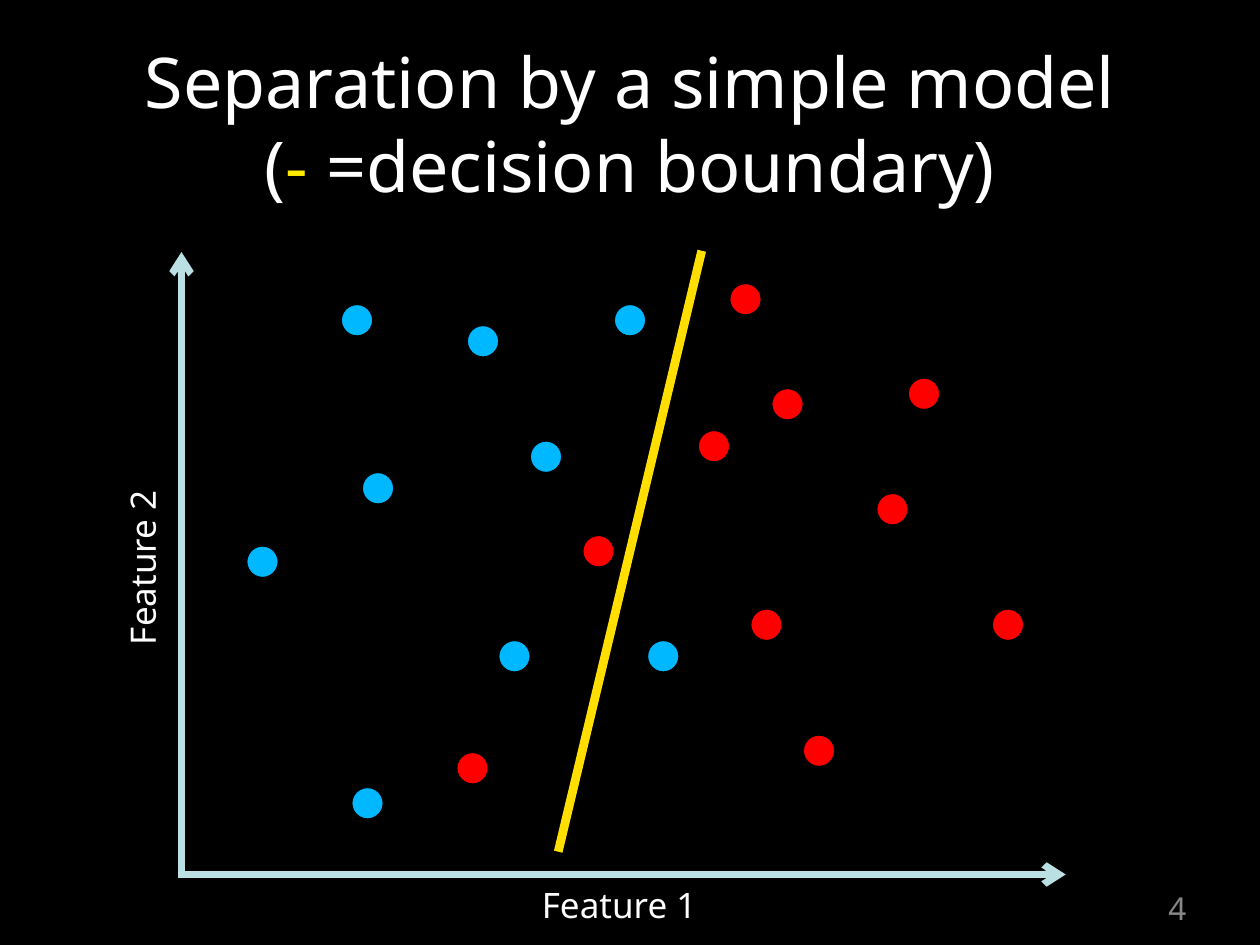
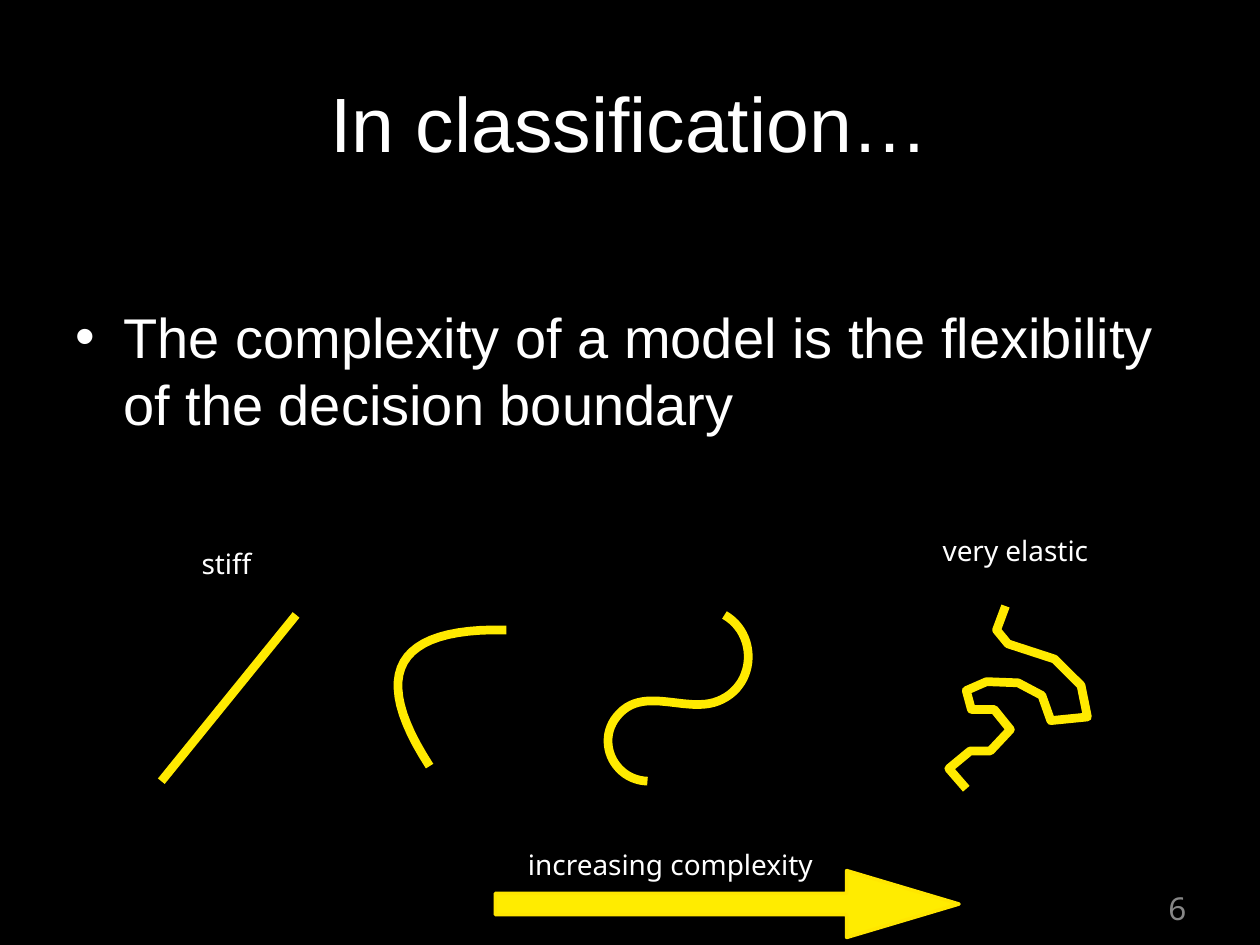
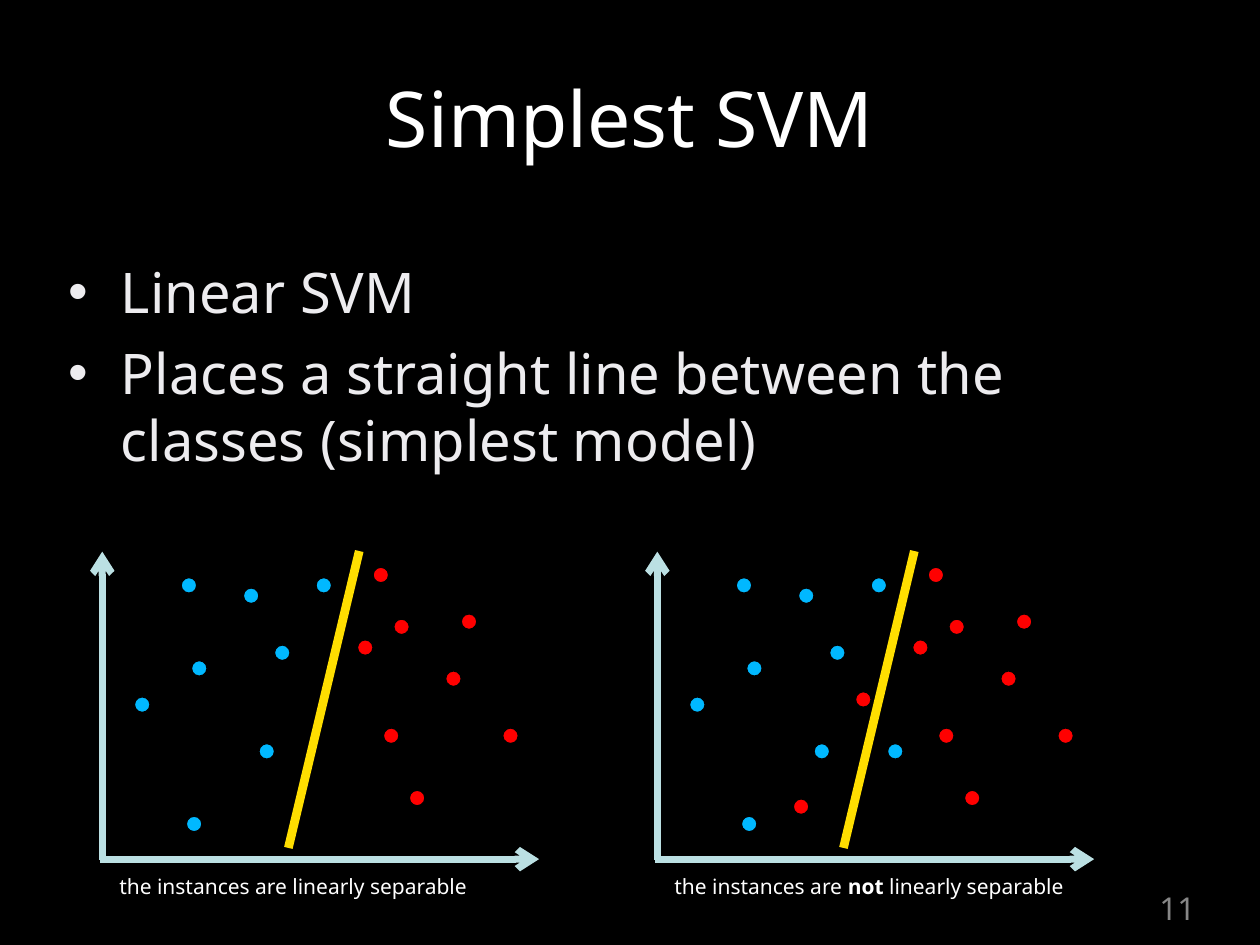
"""Build three slides about decision boundaries and linear SVMs."""
from dataclasses import dataclass

from lxml.etree import SubElement
from pptx import Presentation
from pptx.dml.color import RGBColor
from pptx.enum.shapes import MSO_CONNECTOR, MSO_SHAPE
from pptx.enum.text import MSO_ANCHOR, MSO_AUTO_SIZE, PP_ALIGN
from pptx.oxml.ns import qn
from pptx.util import Pt

BLACK = RGBColor(0x00, 0x00, 0x00)
WHITE = RGBColor(0xFF, 0xFF, 0xFF)
OFF_WHITE = RGBColor(0xFD, 0xFD, 0xFD)
PALE = RGBColor(0xED, 0xEC, 0xEF)
GREY = RGBColor(0x87, 0x87, 0x87)
BLUE = RGBColor(0x00, 0xB8, 0xFF)
RED = RGBColor(0xFF, 0x00, 0x00)
AXIS = RGBColor(0xBB, 0xE0, 0xE3)
BOUNDARY = RGBColor(0xFF, 0xDE, 0x00)
DASH = RGBColor(0xFF, 0xE9, 0x00)
CURVE = RGBColor(0xFF, 0xEA, 0x00)
ARROW_FILL = RGBColor(0xFF, 0xEC, 0x00)
ARROW_LINE = RGBColor(0xFF, 0xE6, 0x00)
SANS = "Noto Sans"
ARIAL = "Arial"

Point = tuple[float, float]


@dataclass(frozen=True)
class Box:
    left: float
    top: float
    width: float
    height: float

    def emu(self) -> tuple:
        return Pt(self.left), Pt(self.top), Pt(self.width), Pt(self.height)


@dataclass(frozen=True)
class Span:
    text: str
    color: RGBColor | None = None
    bold: bool = False


@dataclass(frozen=True)
class Style:
    size: float
    color: RGBColor = WHITE
    font: str = SANS
    align: PP_ALIGN = PP_ALIGN.LEFT
    anchor: MSO_ANCHOR = MSO_ANCHOR.TOP
    inset: float = 3.6
    top_inset: float = 3.6
    line: float | None = None
    before: float = 0
    margin: float = 0
    hanging: float = 0


@dataclass(frozen=True)
class Dot:
    x: float
    y: float
    color: RGBColor


@dataclass(frozen=True)
class Plot:
    dx: float = 0
    dy: float = 0
    scale: float = 1

    def at(self, x: float, y: float) -> Point:
        return self.dx + x * self.scale, self.dy + y * self.scale


@dataclass(frozen=True)
class Label:
    box: Box
    spans: tuple[Span, ...]
    style: Style
    rotation: float = 0


TITLE_BOX = Box(36, 7.2, 648, 118.8)
NUMBER_BOX = Box(650.8, 504.7, 44, 28.1)
NUMBER = Style(18, GREY, align=PP_ALIGN.CENTER, anchor=MSO_ANCHOR.MIDDLE)
AXIS_LABEL = Style(20, OFF_WHITE, top_inset=2)
CURVE_LABEL = Style(16, top_inset=2)
CAPTION = Style(12, top_inset=2.5)

SEPARABLE = [
    *(Dot(x, y, BLUE) for x, y in (
        (216, 279), (204, 183), (276, 195), (360, 183),
        (150, 321), (294, 375), (210, 459), (312, 261))),
    *(Dot(x, y, RED) for x, y in (
        (450, 231), (408, 255), (438, 357), (468, 429),
        (426, 171), (510, 291), (576, 357), (528, 225))),
]
MIXED = SEPARABLE + [Dot(342, 315, RED), Dot(379, 375, BLUE), Dot(270, 439, RED)]
DOT_SIZE = 18

ONE_BEND = [((245.5, 437.8), (211, 384.5), (226, 358.6), (289.4, 360))]
TWO_BENDS = [
    ((370, 446.4), (350, 445.7), (339.8, 422), (354.2, 407.5)),
    ((354.2, 407.5), (369.4, 391.7), (394.6, 409), (412.6, 399.6)),
    ((412.6, 399.6), (432, 390.2), (432.7, 362.2), (414, 351.4)),
]
ELASTIC = [
    (552.2, 450.7), (542.2, 439.2), (554.4, 429.1), (565.9, 429.1),
    (577.4, 416.9), (568.1, 405.4), (555.1, 405.4), (552.2, 394.6),
    (563.8, 389.5), (581.8, 390.2), (595.4, 397.4), (600.5, 411.8),
    (621.4, 409.7), (617.8, 391.7), (602.6, 376.6), (576, 367.9),
    (569.5, 360), (574.6, 346.3),
]


def write(tf, paragraphs: list[tuple[Span, ...]], style: Style) -> None:
    tf.word_wrap = True
    tf.auto_size = MSO_AUTO_SIZE.NONE
    tf.vertical_anchor = style.anchor
    tf.margin_left = tf.margin_right = tf.margin_bottom = Pt(style.inset)
    tf.margin_top = Pt(style.top_inset)
    for i, spans in enumerate(paragraphs):
        p = tf.paragraphs[0] if i == 0 else tf.add_paragraph()
        p.alignment = style.align
        p.space_before = Pt(style.before if i else 0)
        if style.line:
            p.line_spacing = Pt(style.line)
        if style.margin:
            pPr = p._p.get_or_add_pPr()
            pPr.set("marL", str(Pt(style.margin)))
            pPr.set("indent", str(Pt(-style.hanging)))
        for span in spans:
            r = p.add_run()
            r.text = span.text
            r.font.name = style.font
            r.font.size = Pt(style.size)
            r.font.bold = span.bold
            r.font.color.rgb = span.color or style.color


def add_label(slide, label: Label) -> None:
    sp = slide.shapes.add_textbox(*label.box.emu())
    sp.rotation = label.rotation
    write(sp.text_frame, [label.spans], label.style)


def fill_placeholder(sp, box: Box, paragraphs: list[tuple[Span, ...]], style: Style) -> None:
    sp.left, sp.top, sp.width, sp.height = box.emu()
    write(sp.text_frame, paragraphs, style)


def add_slide(prs, layout: int, number: str, title: list[tuple[Span, ...]], style: Style):
    slide = prs.slides.add_slide(prs.slide_layouts[layout])
    fill_placeholder(slide.shapes.title, TITLE_BOX, title, style)
    add_label(slide, Label(NUMBER_BOX, (Span(number),), NUMBER))
    return slide


def title_style(size: float, font: str = SANS, top_inset: float = 3, line: float | None = None) -> Style:
    return Style(size, font=font, align=PP_ALIGN.CENTER, anchor=MSO_ANCHOR.MIDDLE,
                 inset=3, top_inset=top_inset, line=line)


def add_line(slide, start: Point, end: Point, color: RGBColor, width: float, arrow: bool = False) -> None:
    cx = slide.shapes.add_connector(MSO_CONNECTOR.STRAIGHT, *(Pt(v) for v in (*start, *end)))
    cx.line.color.rgb = color
    cx.line.width = Pt(width)
    if arrow:
        SubElement(cx.line._get_or_add_ln(), qn("a:tailEnd"), type="arrow")
    SubElement(cx._element.spPr, qn("a:effectLst"))


def add_preset(slide, kind: MSO_SHAPE, box: Box, fill: RGBColor, line: RGBColor, width: float):
    sp = slide.shapes.add_shape(kind, *box.emu())
    sp.shadow.inherit = False
    sp.fill.solid()
    sp.fill.fore_color.rgb = fill
    sp.line.color.rgb = line
    sp.line.width = Pt(width)
    return sp


def add_plot(slide, plot: Plot, dots: list[Dot]) -> None:
    size = DOT_SIZE * plot.scale
    for dot in dots:
        x, y = plot.at(dot.x, dot.y)
        box = Box(x - size / 2, y - size / 2, size, size)
        add_preset(slide, MSO_SHAPE.OVAL, box, dot.color, BLACK, 0.75)
    add_line(slide, plot.at(101.5, 499.7), plot.at(609, 499.7), AXIS, 4, arrow=True)
    add_line(slide, plot.at(103.7, 500.4), plot.at(103.7, 144), AXIS, 4, arrow=True)
    add_line(slide, plot.at(319, 486.7), plot.at(401, 143.3), BOUNDARY, 5)


def bezier(segments: list[tuple[Point, Point, Point, Point]], steps: int = 24) -> list[Point]:
    points = [segments[0][0]]
    for a, b, c, d in segments:
        for i in range(1, steps + 1):
            t = i / steps
            u = 1 - t
            weights = (u ** 3, 3 * u * u * t, 3 * u * t * t, t ** 3)
            points.append(tuple(sum(w * q[k] for w, q in zip(weights, (a, b, c, d)))
                                for k in (0, 1)))
    return points


def add_curve(slide, points: list[Point]) -> None:
    first, *rest = [(Pt(x), Pt(y)) for x, y in points]
    builder = slide.shapes.build_freeform(*first)
    builder.add_line_segments(rest, close=False)
    sp = builder.convert_to_shape()
    sp.shadow.inherit = False
    sp.fill.background()
    sp.line.color.rgb = CURVE
    sp.line.width = Pt(5)


def simple_model_slide(prs) -> None:
    title = [(Span("Separation by a simple model"),),
             (Span("("), Span("-", DASH), Span(" =decision boundary)"))]
    slide = add_slide(prs, 5, "4", title, title_style(40, top_inset=10, line=48))
    add_plot(slide, Plot(), MIXED)
    add_label(slide, Label(Box(306, 502.6, 99.4, 30.2), (Span("Feature 1"),), AXIS_LABEL))
    add_label(slide, Label(Box(32.4, 307.4, 99.4, 30.2), (Span("Feature 2"),), AXIS_LABEL, 270))


def complexity_slide(prs) -> None:
    slide = add_slide(prs, 1, "6", [(Span("In classification…"),)],
                      title_style(44, ARIAL, top_inset=9))
    body = Style(32, font=ARIAL, inset=4.3, top_inset=51.3, line=38.4, margin=30.2, hanging=27.4)
    text = "The complexity of a model is the flexibility of the decision boundary"
    fill_placeholder(slide.placeholders[1], Box(36, 121.7, 648, 136.8), [(Span(text),)], body)
    add_line(slide, (92.2, 446.4), (169.2, 351.4), CURVE, 5)
    for points in (bezier(ONE_BEND), bezier(TWO_BENDS), ELASTIC):
        add_curve(slide, points)
    for left, top, width, text in ((111.6, 310.3, 38.9, "stiff"),
                                   (535, 303.1, 95, "very elastic"),
                                   (298.1, 482.4, 178.6, "increasing complexity")):
        add_label(slide, Label(Box(left, top, width, 25.2), (Span(text),), CURVE_LABEL))
    arrow = add_preset(slide, MSO_SHAPE.RIGHT_ARROW, Box(283, 497.5, 265, 38.2),
                       ARROW_FILL, ARROW_LINE, 2)
    arrow.adjustments[0] = 0.32
    arrow.adjustments[1] = 1.68


def svm_slide(prs) -> None:
    slide = add_slide(prs, 1, "11", [(Span("Simplest SVM"),)], title_style(44))
    body = Style(32, PALE, inset=2.9, top_inset=5.9, line=38.4, before=8, margin=30.2, hanging=30.2)
    items = ["Linear SVM", "Places a straight line between the classes (simplest model)"]
    fill_placeholder(slide.placeholders[1], Box(36, 141.1, 648, 138.2),
                     [(Span(item),) for item in items], body)
    panels = (
        (7.2, SEPARABLE, 213, (Span("the instances are linearly separable"),)),
        (324.4, MIXED, 237.6, (Span("the instances are "), Span("not ", bold=True),
                               Span("linearly separable"))),
    )
    for dx, dots, width, spans in panels:
        add_plot(slide, Plot(dx, 244.1, 0.494), dots)
        add_label(slide, Label(Box(dx + 57.4, 496.8, width, 22.3), spans, CAPTION))


def main() -> None:
    prs = Presentation()
    prs.slide_width, prs.slide_height = Pt(720), Pt(540)
    background = prs.slide_master.background.fill
    background.solid()
    background.fore_color.rgb = BLACK
    simple_model_slide(prs)
    complexity_slide(prs)
    svm_slide(prs)
    prs.save("out.pptx")


if __name__ == "__main__":
    main()
